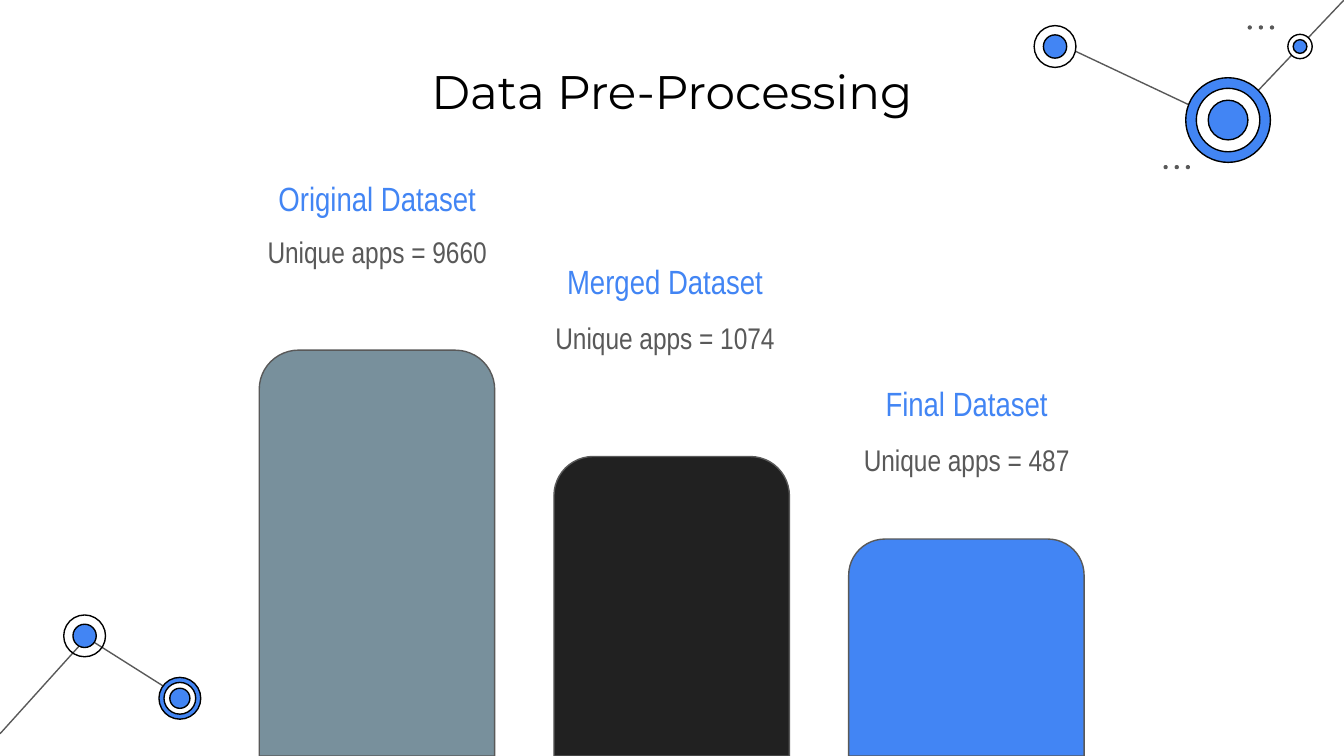
from lxml.etree import SubElement
from pptx import Presentation
from pptx.dml.color import RGBColor
from pptx.enum.shapes import MSO_CONNECTOR, MSO_SHAPE
from pptx.enum.text import PP_ALIGN
from pptx.oxml.ns import qn
from pptx.util import Cm, Pt

BLACK = RGBColor(0, 0, 0)
WHITE = RGBColor(0xFF, 0xFF, 0xFF)
BLUE = RGBColor(0x42, 0x85, 0xF4)
GREY = RGBColor(0x59, 0x59, 0x59)
SLATE = RGBColor(0x78, 0x90, 0x9C)
DARK = RGBColor(0x21, 0x21, 0x21)
WIDE, HIGH = 25.4, 14.29

deck = Presentation()
deck.slide_width, deck.slide_height = Cm(WIDE), Cm(HIGH)
slide = deck.slides.add_slide(deck.slide_layouts[6])
shapes = slide.shapes


def write(text, mid, top, width, height, size, color, font="Arial Narrow", space=1.15, after=12):
    """Add one centred line of text in a box whose centre is at mid; lengths in cm."""
    box = shapes.add_textbox(Cm(mid - width / 2), Cm(top), Cm(width), Cm(height))
    frame = box.text_frame
    frame.word_wrap = True
    frame.margin_left = frame.margin_right = Cm(0.25)
    frame.margin_top = frame.margin_bottom = Cm(0.25)
    para = frame.paragraphs[0]
    para.text = text
    para.alignment = PP_ALIGN.CENTER
    para.line_spacing = space
    para.space_after = Pt(after)
    para.font.name = font
    para.font.size = Pt(size)
    para.font.color.rgb = color


def disc(x, y, size, fill, line=BLACK):
    """Draw a circle centred on x, y; None leaves out its fill or line."""
    dot = shapes.add_shape(MSO_SHAPE.OVAL, Cm(x - size / 2), Cm(y - size / 2), Cm(size), Cm(size))
    dot.shadow.inherit = False
    if fill is None:
        dot.fill.background()
    else:
        dot.fill.solid()
        dot.fill.fore_color.rgb = fill
    if line is None:
        dot.line.fill.background()
    else:
        dot.line.color.rgb = line
        dot.line.width = Pt(0.75)


# Network lines in the corners
for ends in [
    (1.65, 12.06, 3.5, 13.23),
    (0, 13.87, 1.65, 12.04),
    (23.21, 2.33, 19.99, 0.81),
    (25.4, 0, 23.21, 2.31),
]:
    edge = shapes.add_connector(MSO_CONNECTOR.STRAIGHT, *[Cm(end) for end in ends])
    edge.line.color.rgb = GREY
    edge.line.width = Pt(0.75)
    SubElement(edge._element.spPr, qn("a:effectLst"))

# Network nodes, each a set of rings from the outside in
for x, y, rings in [
    (1.6, 12.02, [(0.79, None), (0.44, BLUE)]),
    (3.4, 13.2, [(0.79, BLUE), (0.6, WHITE), (0.38, BLUE)]),
    (23.21, 2.27, [(1.6, BLUE), (1.2, WHITE), (0.75, BLUE)]),
    (19.94, 0.88, [(0.79, WHITE), (0.44, BLUE)]),
    (24.57, 0.88, [(0.46, WHITE), (0.26, BLUE)]),
]:
    for size, fill in rings:
        disc(x, y, size, fill)

# Two rows of three dots
for left, y in [(23.62, 0.52), (22.03, 3.16)]:
    for i in range(3):
        disc(left + i * 0.21, y, 0.08, GREY, line=None)

write("Data Pre-Processing", 12.7, 0.94, 13.13, 1.6, 25.2, BLACK,
      font="Montserrat", space=1, after=0)

# Bars with a heading and a count above each
BAR, STEP, FIRST = 4.45, 5.57, 4.9
for i, (name, count, fill, top, mid, width, head, note) in enumerate([
    ("Original Dataset", 9660, SLATE, 6.62, 7.13, 5.18, 3, 4.06),
    ("Merged Dataset", 1074, DARK, 8.63, 12.57, 5.18, 4.57, 5.69),
    ("Final Dataset", 487, BLUE, 10.19, 18.27, 5.66, 6.88, 8),
]):
    bar = shapes.add_shape(MSO_SHAPE.ROUND_2_SAME_RECTANGLE, Cm(FIRST + i * STEP), Cm(top),
                           Cm(BAR), Cm(HIGH - top))
    bar.shadow.inherit = False
    bar.fill.solid()
    bar.fill.fore_color.rgb = fill
    bar.line.color.rgb = GREY
    bar.line.width = Pt(0.75)
    write(name, mid, head, width, 1.3, 18, BLUE)
    write(f"Unique apps = {count}", mid, note, width, 1.3, 16, GREY)

deck.save("out.pptx")
